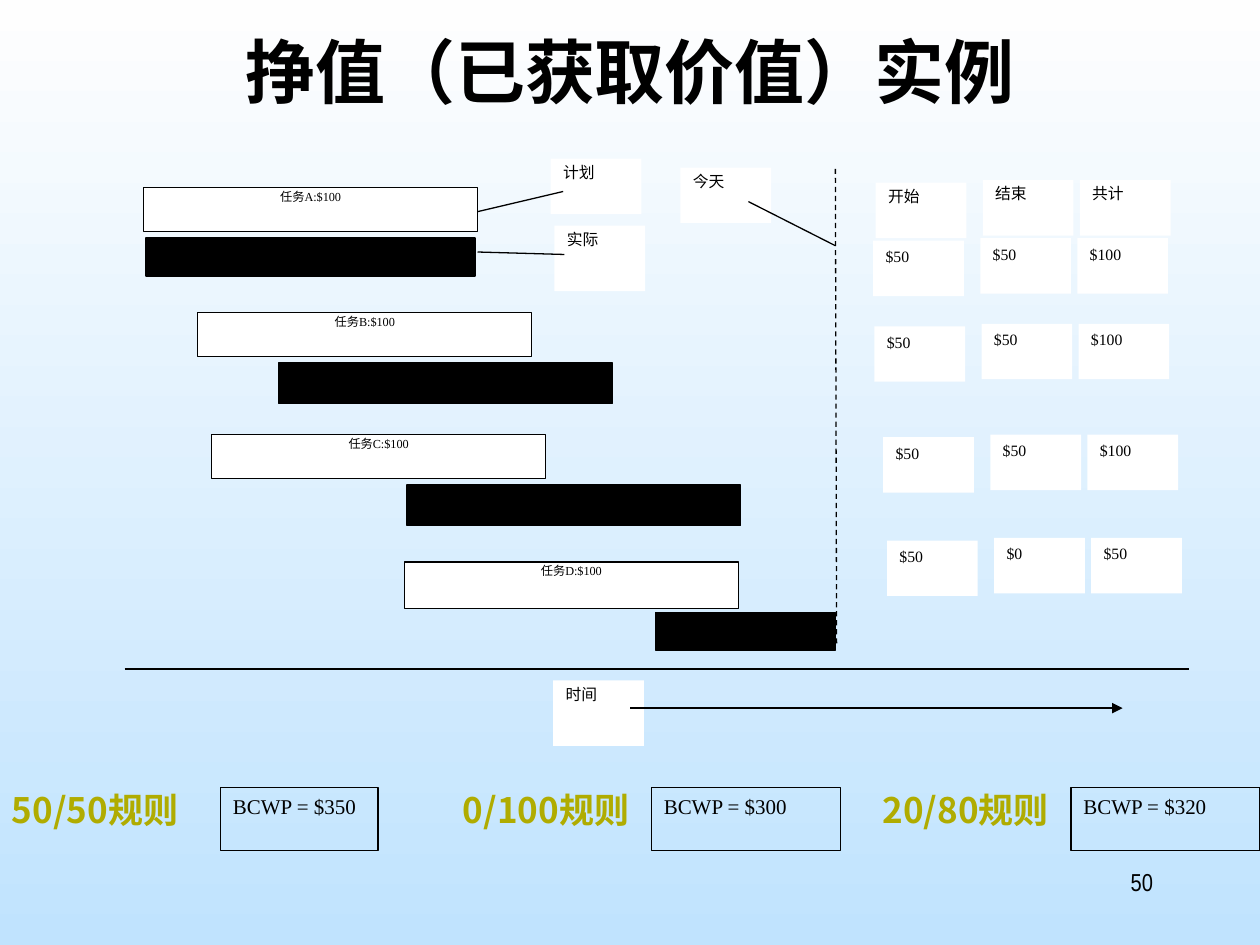
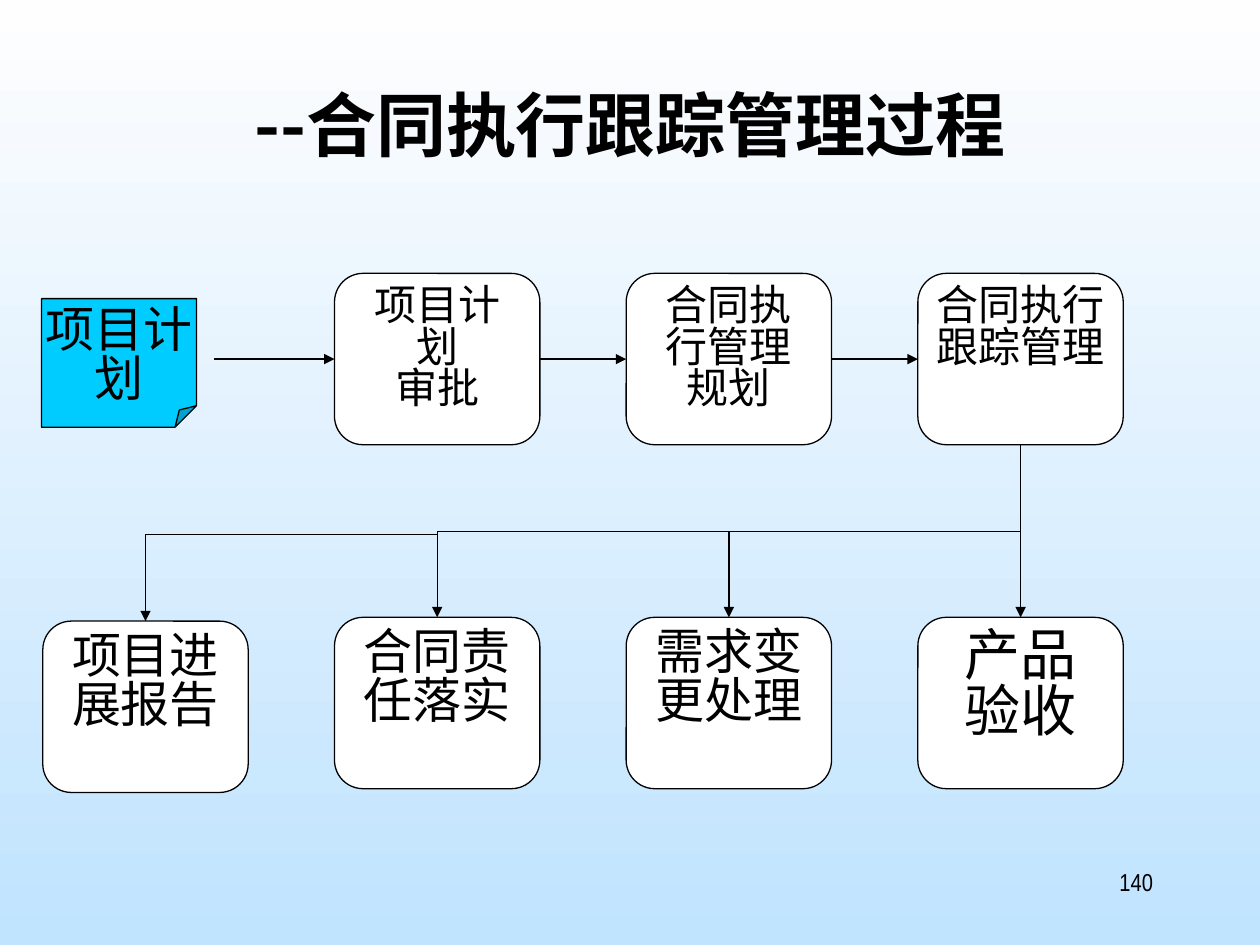
import lxml.etree
import pptx
import pptx.dml.color
import pptx.enum.dml
import pptx.enum.shapes
import pptx.enum.text
import pptx.oxml.ns
import pptx.util

RGBColor = pptx.dml.color.RGBColor
BLACK = RGBColor(0x00, 0x00, 0x00)
WHITE = RGBColor(0xFF, 0xFF, 0xFF)
CYAN = RGBColor(0x00, 0xCC, 0xFF)
OLIVE = RGBColor(0xB0, 0xAC, 0x00)
SKY_TOP = RGBColor(0xFE, 0xFE, 0xFE)
SKY_BOTTOM = RGBColor(0xC0, 0xE3, 0xFE)

SERIF, SANS, NUMBER_FONT = "Times New Roman", "Noto Sans CJK SC", "Arial Narrow"
LINE_WIDTH = pptx.util.Pt(0.75)
KINDS = pptx.enum.shapes.MSO_SHAPE
ALIGN = pptx.enum.text.PP_ALIGN
inches = pptx.util.Inches
qualified = pptx.oxml.ns.qn


def add_text(slide, text, place, kind=None, fill=None, outline=None, font=SERIF, size=9,
             color=BLACK, bold=False, align=ALIGN.CENTER, spacing=1.0,
             insets=(0.1, 0.05, 0.1, 0.05)):
    """Fill the title, a text box (no kind) or a preset shape with formatted text."""
    box = [inches(length) for length in place]
    if kind == "title":
        shape = slide.shapes.title
        shape.left, shape.top, shape.width, shape.height = box
    elif kind is None:
        shape = slide.shapes.add_textbox(*box)
    else:
        shape = slide.shapes.add_shape(kind, *box)
        shape.shadow.inherit = False
        if fill is None:
            shape.fill.background()
        else:
            shape.fill.solid()
            shape.fill.fore_color.rgb = fill
        if outline is None:
            shape.line.fill.background()
        else:
            shape.line.color.rgb = outline
            shape.line.width = LINE_WIDTH

    frame = shape.text_frame
    frame.word_wrap = True
    frame.auto_size = pptx.enum.text.MSO_AUTO_SIZE.NONE
    frame.vertical_anchor = pptx.enum.text.MSO_ANCHOR.TOP
    frame.margin_left, frame.margin_top, frame.margin_right, frame.margin_bottom = map(inches, insets)
    if not text:
        return
    frame.text = text
    for paragraph in frame.paragraphs:
        paragraph.alignment = align
        paragraph.line_spacing = spacing
        for run in paragraph.runs:
            run.font.name = font
            run.font.size = pptx.util.Pt(size)
            run.font.bold = bold
            run.font.color.rgb = color
            east_asian = lxml.etree.SubElement(run.font._element, qualified("a:ea"))
            east_asian.set("typeface", SANS)


def add_line(slide, *points, arrow=False, dashed=False):
    """Join the points: a connector for two, an open outline for more."""
    points = [(inches(x), inches(y)) for x, y in points]
    if len(points) == 2:
        line = slide.shapes.add_connector(
            pptx.enum.shapes.MSO_CONNECTOR.STRAIGHT, *points[0], *points[1])
    else:
        builder = slide.shapes.build_freeform(*points[0])
        builder.add_line_segments(points[1:], close=False)
        line = builder.convert_to_shape()
        line.fill.background()
    line.line.color.rgb = BLACK
    line.line.width = LINE_WIDTH
    if dashed:
        line.line.dash_style = pptx.enum.dml.MSO_LINE.DASH
    properties = line._element.spPr
    if arrow:
        tail = lxml.etree.SubElement(properties.find(qualified("a:ln")), qualified("a:tailEnd"))
        tail.set("type", "triangle")
    lxml.etree.SubElement(properties, qualified("a:effectLst"))


presentation = pptx.Presentation()
presentation.slide_width = inches(10)
presentation.slide_height = inches(7.5)

# Shared background
background = presentation.slide_master.background.fill
background.gradient()
background.gradient_angle = 270
for stop, color in zip(background.gradient_stops, (SKY_TOP, SKY_BOTTOM)):
    stop.color.rgb = color

# Shared titles and slide numbers
slides = []
for title, title_top, number in (("挣值（已获取价值）实例", 0.25, "50"),
                                 ("--合同执行跟踪管理过程", 0.67, "140")):
    slide = presentation.slides.add_slide(presentation.slide_layouts[5])
    add_text(slide, title, (0.75, title_top, 8.5, 1.25), kind="title",
             font=SANS, size=40, bold=True, spacing=0.9)
    add_text(slide, number, (7.17, 6.83, 2.08, 0.5), font=NUMBER_FONT, size=14, align=ALIGN.RIGHT)
    slides.append(slide)
value_slide, process_slide = slides

# Planned and actual bars
PLAN_WIDTH = 2.65
tasks = [
    ("A", (1.14, 1.49, PLAN_WIDTH, 0.35), (1.16, 1.89, 2.61, 0.3)),
    ("B", (1.57, 2.48, PLAN_WIDTH, 0.35), (2.21, 2.88, PLAN_WIDTH, 0.32)),
    ("C", (1.68, 3.45, PLAN_WIDTH, 0.35), (3.23, 3.85, PLAN_WIDTH, 0.32)),
    ("D", (3.21, 4.46, PLAN_WIDTH, 0.37), (5.2, 4.86, 1.43, 0.3)),
]
for task, planned, actual in tasks:
    add_text(value_slide, f"任务{task}:$100", planned, kind=KINDS.RECTANGLE,
             fill=WHITE, outline=BLACK, size=7, spacing=0.64)
    add_text(value_slide, "", actual, kind=KINDS.RECTANGLE, fill=BLACK, outline=BLACK)

# Chart labels
LABEL_WIDTH, LABEL_HEIGHT = 0.72, 0.44
for label, left, top, height in (("计划", 4.37, 1.26, LABEL_HEIGHT), ("实际", 4.4, 1.79, 0.52),
                                 ("今天", 5.4, 1.33, LABEL_HEIGHT), ("时间", 4.39, 5.4, 0.52)):
    add_text(value_slide, label, (left, top, LABEL_WIDTH, height), kind=KINDS.RECTANGLE,
             fill=WHITE, align=ALIGN.JUSTIFY, spacing=0.9)

# Cost columns: the first sits slightly lower than the others
cost_columns = [(0, 0.02), (0.85, 0), (1.62, 0)]
cost_rows = [
    (6.95, 1.43, ("开始", "结束", "共计")),
    (6.93, 1.89, ("$50", "$50", "$100")),
    (6.94, 2.57, ("$50", "$50", "$100")),
    (7.01, 3.45, ("$50", "$50", "$100")),
    (7.04, 4.27, ("$50", "$0", "$50")),
]
for row_left, row_top, costs in cost_rows:
    for cost, (across, down) in zip(costs, cost_columns):
        add_text(value_slide, cost, (row_left + across, row_top + down, LABEL_WIDTH, LABEL_HEIGHT),
                 kind=KINDS.RECTANGLE, fill=WHITE, align=ALIGN.JUSTIFY,
                 spacing=1.0 if "$" in cost else 0.9)

# Time axis, today line and leaders
add_line(value_slide, (0.99, 5.31), (9.44, 5.31))
add_line(value_slide, (6.63, 1.34), (6.64, 5.11), dashed=True)
add_line(value_slide, (4.47, 1.52), (3.79, 1.68))
add_line(value_slide, (3.79, 2), (4.48, 2.02))
add_line(value_slide, (5.94, 1.6), (6.63, 1.95))
add_line(value_slide, (5, 5.62), (8.91, 5.62), arrow=True)

# Earned value under each rule
RULE_TOP = 6.25
for rule, rule_left, result, result_left, result_width in (
        ("50/50规则", -0.08, "$350", 1.75, 1.25),
        ("0/100规则", 3.5, "$300", 5.17, 1.5),
        ("20/80规则", 6.83, "$320", 8.5, 1.5)):
    add_text(value_slide, rule, (rule_left, RULE_TOP, 1.67, 0.44),
             font=SANS, size=20, color=OLIVE, bold=True, spacing=0.9)
    add_text(value_slide, f"BCWP = {result}", (result_left, RULE_TOP, result_width, 0.5),
             kind=KINDS.RECTANGLE, outline=BLACK, size=12, align=ALIGN.JUSTIFY)

# Process grid
STEP_WIDTH, STEP_HEIGHT = 1.63, 1.36
columns = [0.34 + 2.315 * index for index in range(4)]
centers = [left + STEP_WIDTH / 2 for left in columns]
UPPER_TOP, LOWER_TOP, REPORT_TOP = 2.17, 4.9, 4.93
ARROW_ROW, BRANCH_ROW, REPORT_ROW = 2.85, 4.22, 4.24

# Process steps
add_text(process_slide, "项目计划", (0.33, 2.37, 1.23, 1.02), kind=KINDS.FOLDED_CORNER,
         fill=CYAN, outline=BLACK, size=28, spacing=0.83, insets=(0, 0.08, 0, 0.05))
steps = [
    ("项目计划\n审批", 1, UPPER_TOP, 24, 0.1),
    ("合同执行管理规划", 2, UPPER_TOP, 24, 0.1),
    ("合同执行\n跟踪管理", 3, UPPER_TOP, 24, 0),
    ("项目进展报告", 0, REPORT_TOP, 28, 0.1),
    ("合同责任落实", 1, LOWER_TOP, 28, 0.1),
    ("需求变更处理", 2, LOWER_TOP, 28, 0.1),
    ("产品验收", 3, LOWER_TOP, 32, 0.1),
]
for step, column, top, size, side in steps:
    add_text(process_slide, step, (columns[column], top, STEP_WIDTH, STEP_HEIGHT),
             kind=KINDS.ROUNDED_RECTANGLE, fill=WHITE, outline=BLACK, size=size,
             spacing=0.83, insets=(side, 0.04, side, 0))

# Arrows along the upper row
arrow_starts = [1.7] + [left + STEP_WIDTH for left in columns[1:3]]
for start, end in zip(arrow_starts, columns[1:]):
    add_line(process_slide, (start, ARROW_ROW), (end, ARROW_ROW), arrow=True)

# Branches to the lower row
add_line(process_slide, (centers[3], UPPER_TOP + STEP_HEIGHT), (centers[3], LOWER_TOP), arrow=True)
add_line(process_slide, (centers[2], BRANCH_ROW), (centers[2], LOWER_TOP), arrow=True)
add_line(process_slide, (centers[3], BRANCH_ROW), (centers[1], BRANCH_ROW),
         (centers[1], LOWER_TOP), arrow=True)
add_line(process_slide, (centers[1], REPORT_ROW), (centers[0], REPORT_ROW),
         (centers[0], REPORT_TOP), arrow=True)

presentation.save("out.pptx")
